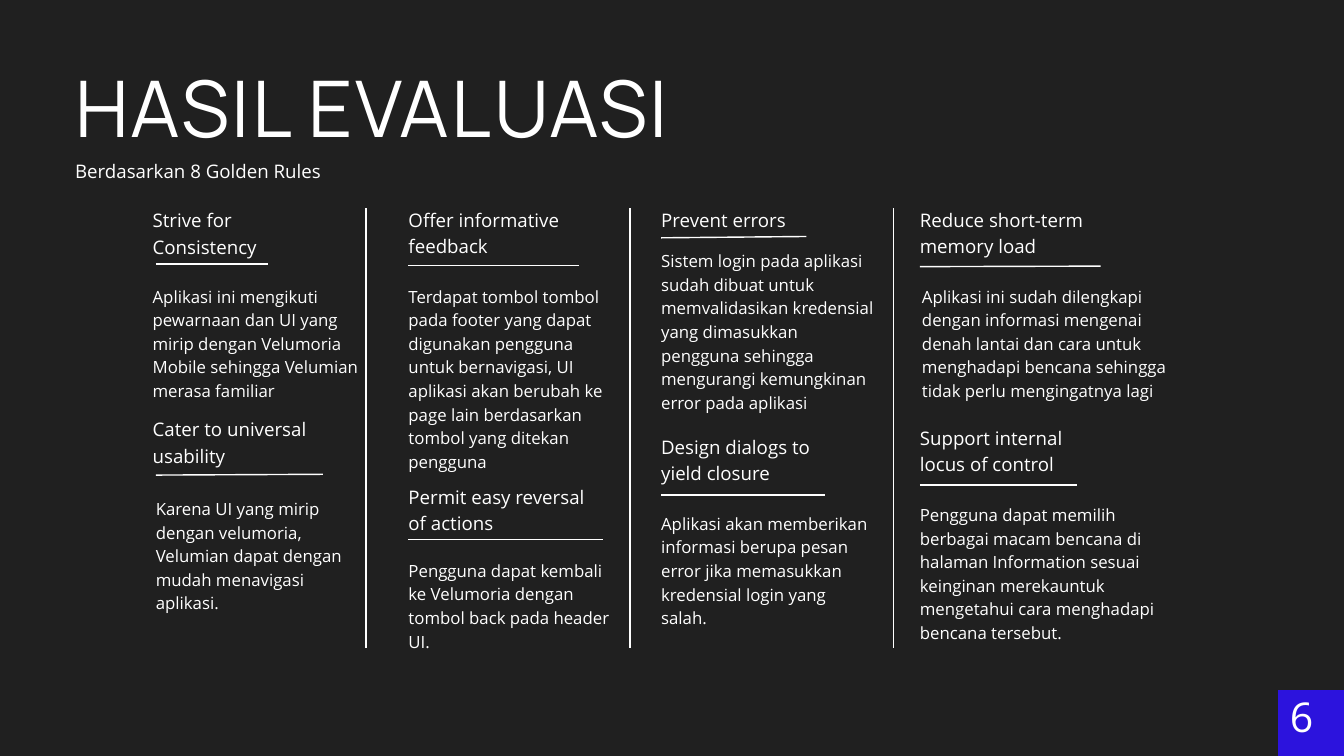
"""Build the evaluation slide: eight golden rules in four columns."""
from lxml import etree
from pptx import Presentation
from pptx import util as u
from pptx.dml.color import RGBColor
from pptx.enum import shapes, text
from pptx.oxml.ns import qn

DARK = RGBColor(0x20, 0x20, 0x20)
WHITE = RGBColor(0xFF, 0xFF, 0xFF)
BLUE = RGBColor(0x2C, 0x13, 0xDD)

TITLE = {"name": "Manrope", "size": u.Pt(83.7)}
HEADING = {"name": "Open Sans", "size": u.Pt(20)}
BODY = {"name": "Open Sans", "size": u.Pt(18)}
NUMBER = {"name": "Open Sans", "size": u.Pt(44)}

COLUMNS = (5.77, 15.44, 24.99, 34.77)
DIVIDER_LEFT, DIVIDER_STEP, DIVIDER_TOP, DIVIDER_BOTTOM = 13.84, 9.97, 7.87, 24.49
HEADING_LINE, BODY_LINE = 0.98, 0.86

# column, heading (top, width, lines, text), rule (indent, start y, end y), body (indent, top, width, lines, text)
RULES = [
    (0, (7.77, 4.37, 2, "Strive for Consistency"), (0.12, 9.98, 9.98),
     (0, 10.69, 7.92, 5, "Aplikasi ini mengikuti pewarnaan dan UI yang mirip dengan Velumoria "
      "Mobile sehingga Velumian merasa familiar")),
    (0, (15.67, 6.43, 2, "Cater to universal usability"), (0.12, 17.96, 17.93),
     (0.12, 18.72, 7.92, 5, "Karena UI yang mirip dengan velumoria, Velumian dapat dengan mudah "
      "menavigasi aplikasi.")),
    (1, (7.75, 6.43, 2, "Offer informative feedback"), (0, 10.03, 10.03),
     (0, 10.69, 7.8, 8, "Terdapat tombol tombol pada footer yang dapat digunakan pengguna untuk "
      "bernavigasi, UI aplikasi akan berubah ke page lain berdasarkan tombol yang ditekan pengguna")),
    (1, (18.21, 7.37, 2, "Permit easy reversal of actions"), (0, 20.4, 20.4),
     (0, 21.06, 7.95, 4, "Pengguna dapat kembali ke Velumoria dengan tombol back pada header UI.")),
    (2, (7.75, 5.49, 1, "Prevent errors"), (0, 8.99, 8.94),
     (0, 9.35, 8.15, 7, "Sistem login pada aplikasi sudah dibuat untuk memvalidasikan kredensial "
      "yang dimasukkan pengguna sehingga mengurangi kemungkinan error pada aplikasi")),
    (2, (16.33, 6.2, 2, "Design dialogs to yield closure"), (0, 18.72, 18.72),
     (0, 19.28, 7.85, 5, "Aplikasi akan memberikan informasi berupa pesan error jika memasukkan "
      "kredensial login yang salah.")),
    (3, (7.75, 6.83, 2, "Reduce short-term memory load"), (0, 10.08, 10.06),
     (0.08, 10.69, 10.16, 5, "Aplikasi ini sudah dilengkapi dengan informasi mengenai denah lantai "
      "dan cara untuk menghadapi bencana sehingga tidak perlu mengingatnya lagi")),
    (3, (16, 5.94, 2, "Support internal locus of control"), (0, 18.34, 18.34),
     (0, 18.95, 10.16, 6, "Pengguna dapat memilih berbagai macam bencana di halaman Information "
      "sesuai keinginan merekauntuk mengetahui cara menghadapi bencana tersebut.")),
]


def add_text(parent, box, words, font, spacing, inset=0.0, **frame):
    """Add a wrapped white text box and return its run."""
    tf = parent.add_textbox(*map(u.Cm, box)).text_frame
    settings = {"word_wrap": True, "auto_size": text.MSO_AUTO_SIZE.SHAPE_TO_FIT_TEXT, **frame}
    for side in ("left", "top", "right", "bottom"):
        settings[f"margin_{side}"] = u.Cm(inset)
    for key, value in settings.items():
        setattr(tf, key, value)
    p = tf.paragraphs[0]
    p.line_spacing = u.Pt(spacing)
    r = p.add_run()
    r.text = words
    for key, value in font.items():
        setattr(r.font, key, value)
    r.font.color.rgb = WHITE
    return r


def add_line(s, x1, y1, x2, y2):
    """Add a thin white line without a shadow."""
    line = s.shapes.add_connector(shapes.MSO_CONNECTOR.STRAIGHT, *map(u.Cm, (x1, y1, x2, y2)))
    line.line.color.rgb = WHITE
    line.line.width = u.Pt(1.5)
    etree.SubElement(line._element.spPr, qn("a:effectLst"))


def add_rule(s, column, heading, underline, body):
    """Add one golden rule: heading, underline and explanation."""
    left = COLUMNS[column]
    top, width, lines, words = heading
    add_text(s.shapes, (left, top, width, lines * HEADING_LINE), words, HEADING, 28)
    indent, start, end = underline
    add_line(s, left + indent, start, left + width, end)
    indent, top, width, lines, words = body
    add_text(s.shapes, (left + indent, top, width, lines * BODY_LINE), words, BODY, 25.3)


def add_page_number(s, number):
    """Add the blue corner square with the page number."""
    group = s.shapes.add_group_shape().shapes
    sp = group.add_shape(shapes.MSO_SHAPE.RECTANGLE, *map(u.Cm, (48.31, 26.09, 2.49, 2.49)))
    sp.shadow.inherit = False
    sp.fill.solid()
    sp.fill.fore_color.rgb = BLUE
    sp.line.fill.background()
    r = add_text(group, (48.31, 25.91, 1.78, 1.98), number, NUMBER, 61.6, 0.15,
                 auto_size=text.MSO_AUTO_SIZE.NONE, vertical_anchor=text.MSO_ANCHOR.MIDDLE)
    r._parent.alignment = text.PP_ALIGN.CENTER


def main():
    """Build and save the slide."""
    prs = Presentation()
    prs.slide_width, prs.slide_height = u.Cm(50.8), u.Cm(28.58)
    s = prs.slides.add_slide(prs.slide_layouts[6])
    s.background.fill.solid()
    s.background.fill.fore_color.rgb = DARK
    title = add_text(s.shapes, (2.84, 3.1, 26.09, 3.15), "HASIL EVALUASI", TITLE, 76.2)
    title.font._element.set("spc", "260")
    add_text(s.shapes, (2.84, 5.92, 10.21, 0.94), "Berdasarkan 8 Golden Rules", HEADING, 28)
    for rule in RULES:
        add_rule(s, *rule)
    for i in range(len(COLUMNS) - 1):
        x = DIVIDER_LEFT + i * DIVIDER_STEP
        add_line(s, x, DIVIDER_TOP, x, DIVIDER_BOTTOM)
    add_page_number(s, "6")
    prs.save("out.pptx")


if __name__ == "__main__":
    main()
